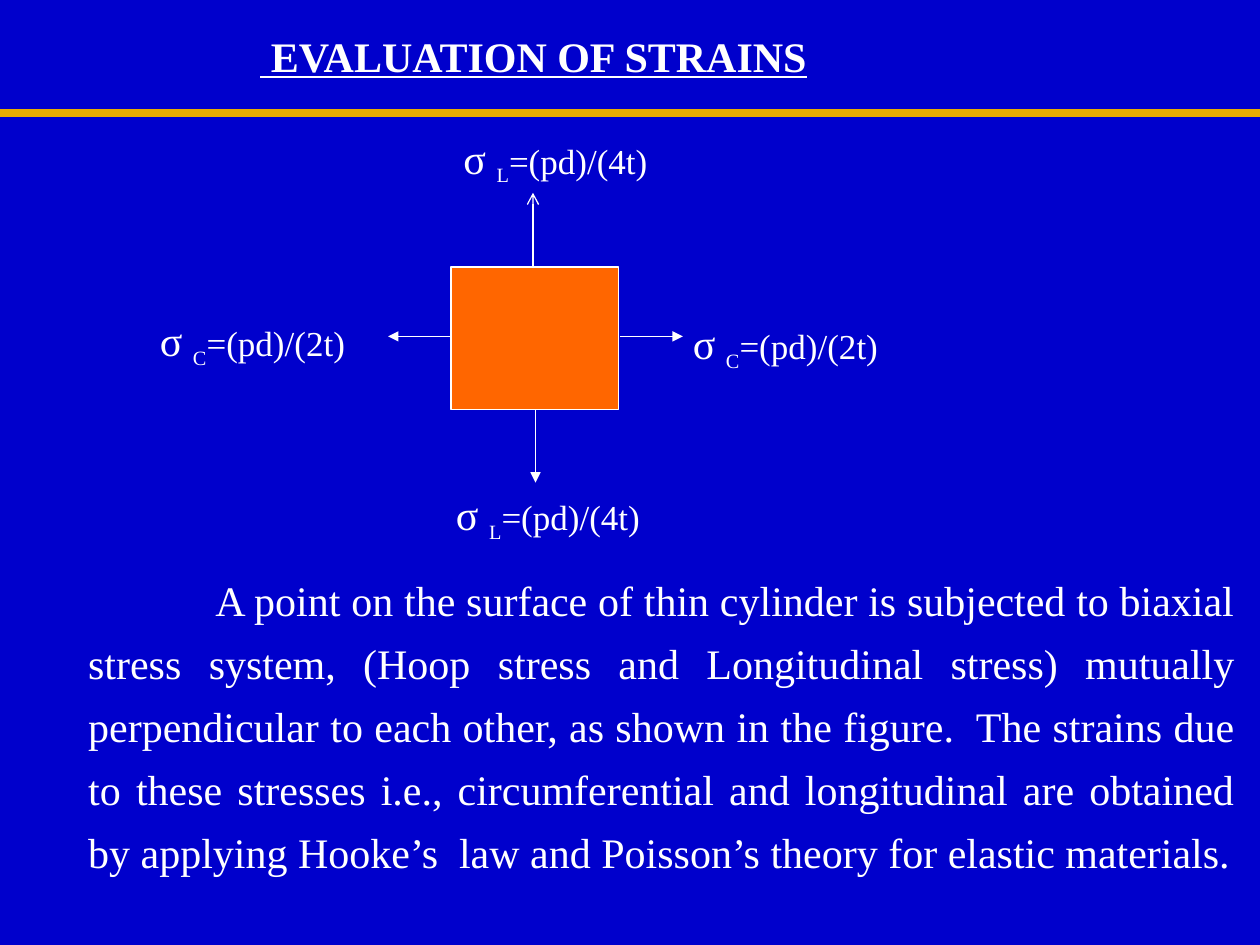
from pptx import Presentation
from pptx.dml.color import RGBColor
from pptx.enum.shapes import MSO_CONNECTOR, MSO_SHAPE
from pptx.enum.text import PP_ALIGN
from pptx.oxml.ns import qn
from pptx.util import Emu, Pt
from lxml import etree

PX = 9144  # 100 px to the inch
BLUE = RGBColor(0x00, 0x00, 0xCC)
ORANGE = RGBColor(0xFF, 0x66, 0x00)
GOLD = RGBColor(0xE8, 0xAB, 0x00)
WHITE = RGBColor(0xFF, 0xFF, 0xFF)
RECT = MSO_SHAPE.RECTANGLE
STRAIGHT = MSO_CONNECTOR.STRAIGHT
LEFT, CENTER, JUSTIFY = PP_ALIGN.LEFT, PP_ALIGN.CENTER, PP_ALIGN.JUSTIFY


def px(*values):
    return [Emu(v * PX) for v in values]


class Deck:
    font, color, size = "Times New Roman", WHITE, Pt(24)

    def __init__(self, slide):
        self.s = slide

    def background(self, color):
        fill = self.s.background.fill
        fill.solid()
        fill.fore_color.rgb = color

    def text(self, box, text="", align=LEFT, wrap=True):
        tf = self.s.shapes.add_textbox(*px(*box)).text_frame
        tf.word_wrap = wrap
        p = tf.paragraphs[0]
        if text:
            p.add_run().text = text
        p.alignment = align
        p.font.name, p.font.size = self.font, self.size
        p.font.color.rgb = self.color
        return tf

    def title(self, box, text):
        font = self.text(box, text, CENTER, wrap=False).paragraphs[0].font
        font.bold = font.underline = True

    def body(self, box, text, margin, first_line):
        tf = self.text(box, text, JUSTIFY)
        tf.margin_left = tf.margin_right = tf.margin_top = tf.margin_bottom = 0
        p = tf.paragraphs[0]
        p.line_spacing = 1.25
        pPr = p._p.get_or_add_pPr()
        pPr.set("marL", str(margin * PX))
        pPr.set("indent", str(first_line * PX))

    def stress(self, box, subscript, formula):
        p = self.text(box).paragraphs[0]
        p.add_run().text = "σ "
        for text, baseline in ((subscript, "-25000"), (formula, "0")):
            r = p.add_run()
            r.text = text
            r.font.size = Pt(20)
            r.font._element.set("baseline", baseline)

    def rect(self, box, fill):
        sp = self.s.shapes.add_shape(RECT, *px(*box))
        sp.shadow.inherit = False
        sp.fill.solid()
        sp.fill.fore_color.rgb = fill
        sp.line.color.rgb, sp.line.width = self.color, Pt(0.75)

    def line(self, ends, color=WHITE, width=0.75, arrow=None):
        cxn = self.s.shapes.add_connector(STRAIGHT, *px(*ends))
        cxn.line.color.rgb, cxn.line.width = color, Pt(width)
        if arrow:
            ln = cxn.line._get_or_add_ln()
            etree.SubElement(ln, qn("a:tailEnd")).set("type", arrow)
        etree.SubElement(cxn._element.spPr, qn("a:effectLst"))


def main():
    prs = Presentation()
    prs.slide_width, prs.slide_height = px(1000, 750)
    deck = Deck(prs.slides.add_slide(prs.slide_layouts[6]))
    deck.background(BLUE)

    # Heading and rule
    deck.title((190, 19, 467, 51), " EVALUATION OF STRAINS")
    deck.line((-3, 90, 1000, 90), GOLD, 4.5)

    # Explanation
    deck.body(
        (20, 446, 960, 250),
        "A point on the surface of thin cylinder is subjected to biaxial "
        "stress system, (Hoop stress and Longitudinal stress) mutually "
        "perpendicular to each other, as shown in the figure.  The strains "
        "due to these stresses i.e., circumferential and longitudinal are "
        "obtained by applying Hooke’s  law and Poisson’s theory for elastic "
        "materials.",
        margin=50, first_line=101)

    # Stressed element
    deck.rect((358, 212, 133, 113), ORANGE)

    # Stress labels: hoop at the sides, longitudinal above and below
    for box in ((540, 247, 169, 50), (117, 245, 198, 50)):
        deck.stress(box, "C", "=(pd)/(2t)")
    for box in ((358, 100, 200, 50), (352, 383, 198, 50)):
        deck.stress(box, "L", "=(pd)/(4t)")

    # Stress arrows, pointing away from the element
    for ends, arrow in (
        ((425, 325, 425, 383), "triangle"),
        ((492, 267, 542, 267), "triangle"),
        ((358, 267, 308, 267), "triangle"),
        ((423, 211, 423, 153), "arrow"),
    ):
        deck.line(ends, arrow=arrow)

    prs.save("out.pptx")


if __name__ == "__main__":
    main()
